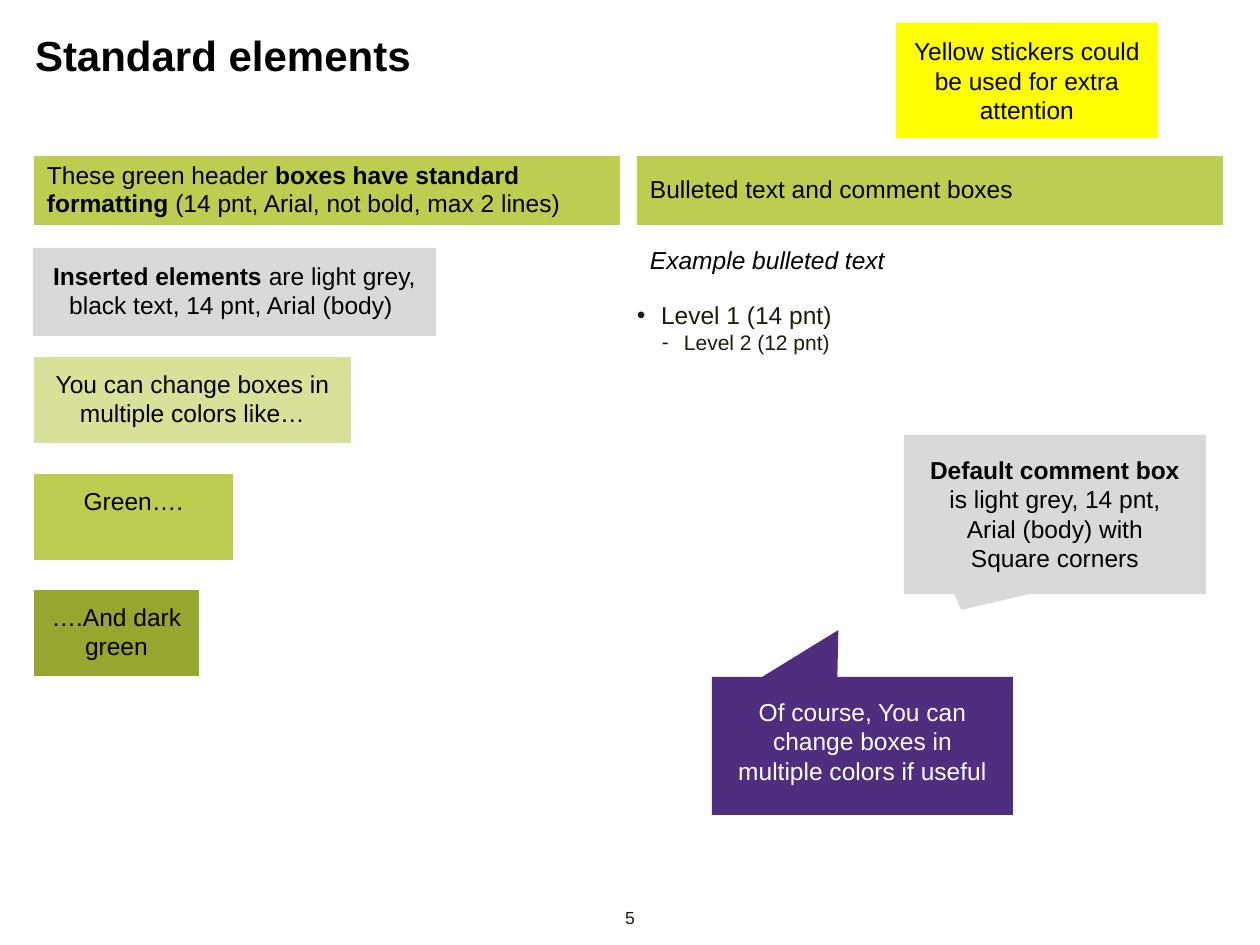
from dataclasses import dataclass

from lxml.etree import SubElement
from pptx import Presentation
from pptx.dml.color import RGBColor
from pptx.enum.shapes import MSO_SHAPE
from pptx.enum.text import MSO_ANCHOR, MSO_AUTO_SIZE, PP_ALIGN
from pptx.oxml.ns import qn
from pptx.util import Emu, Pt

PIXEL = 914400 / 126


@dataclass(frozen=True)
class Theme:
    font: str = "Arial"
    black: str = "000000"
    white: str = "FFFFFF"
    ink: str = "1B1D08"
    yellow: str = "FFFF00"
    grey: str = "D9D9D9"
    pale_green: str = "D8E197"
    green: str = "BECD4F"
    dark_green: str = "98A62F"
    purple: str = "4F2D7F"
    title_size: int = 24
    text_size: int = 14
    small_size: int = 12
    number_size: int = 10


THEME = Theme()


@dataclass(frozen=True)
class Area:
    left: int
    top: int
    width: int
    height: int


@dataclass(frozen=True)
class Span:
    text: str
    bold: bool = False
    italic: bool = False


@dataclass(frozen=True)
class Box:
    area: Area
    fill: str
    spans: tuple[Span, ...]
    inset: int = 13
    color: str = THEME.black
    outlined: bool = False
    anchor: MSO_ANCHOR = MSO_ANCHOR.TOP
    pointer: tuple[float, float] | None = None


@dataclass(frozen=True)
class Bullet:
    text: str
    mark: str
    size: int
    margin: int
    hanging: int


def px(length: float) -> Emu:
    return Emu(round(length * PIXEL))


def place(shape, area: Area) -> None:
    shape.left, shape.top = px(area.left), px(area.top)
    shape.width, shape.height = px(area.width), px(area.height)


def set_frame(frame, across: int, down: int, anchor=MSO_ANCHOR.TOP, wrap: bool = True) -> None:
    frame.auto_size = MSO_AUTO_SIZE.NONE
    frame.word_wrap = wrap
    frame.vertical_anchor = anchor
    frame.margin_left = frame.margin_right = px(across)
    frame.margin_top = frame.margin_bottom = px(down)


def write(para, spans: tuple[Span, ...], size: int = THEME.text_size,
          color: str = THEME.black, align=PP_ALIGN.LEFT) -> None:
    para.alignment = align
    para.space_before = Pt(0)
    for span in spans:
        run = para.add_run()
        run.text = span.text
        run.font.name = THEME.font
        run.font.size = Pt(size)
        run.font.bold = span.bold
        run.font.italic = span.italic
        run.font.color.rgb = RGBColor.from_string(color)


def draw_box(page, box: Box) -> None:
    kind = MSO_SHAPE.RECTANGULAR_CALLOUT if box.pointer else MSO_SHAPE.RECTANGLE
    shape = page.shapes.add_shape(kind, 0, 0, 0, 0)
    place(shape, box.area)
    if box.pointer:
        shape.adjustments[0], shape.adjustments[1] = box.pointer
    shape.shadow.inherit = False
    shape.fill.solid()
    shape.fill.fore_color.rgb = RGBColor.from_string(box.fill)
    if box.outlined:
        shape.line.color.rgb = RGBColor.from_string(THEME.white)
        shape.line.width = Pt(0.75)
    else:
        shape.line.fill.background()
    set_frame(shape.text_frame, box.inset, box.inset, box.anchor)
    write(shape.text_frame.paragraphs[0], box.spans, color=box.color, align=PP_ALIGN.CENTER)


def draw_header(holder, area: Area, spans: tuple[Span, ...]) -> None:
    place(holder, area)
    holder.fill.solid()
    holder.fill.fore_color.rgb = RGBColor.from_string(THEME.green)
    set_frame(holder.text_frame, 13, 3, MSO_ANCHOR.MIDDLE)
    para = holder.text_frame.paragraphs[0]
    para.line_spacing = 0.95
    write(para, spans)


def draw_bullets(holder, area: Area, bullets: tuple[Bullet, ...]) -> None:
    place(holder, area)
    frame = holder.text_frame
    set_frame(frame, 0, 0)
    for level, bullet in enumerate(bullets):
        para = frame.add_paragraph() if level else frame.paragraphs[0]
        para.level = level
        write(para, (Span(bullet.text),), bullet.size, THEME.ink)
        properties = para._p.get_or_add_pPr()
        properties.set("marL", str(px(bullet.margin)))
        properties.set("indent", str(-px(bullet.hanging)))
        SubElement(properties, qn("a:buFont"), typeface=THEME.font)
        SubElement(properties, qn("a:buChar"), char=bullet.mark)


def draw_label(page, area: Area, span: Span, size: int, color: str, align,
               across: int = 0, down: int = 0, wrap: bool = True) -> None:
    label = page.shapes.add_textbox(0, 0, 0, 0)
    place(label, area)
    set_frame(label.text_frame, across, down, wrap=wrap)
    write(label.text_frame.paragraphs[0], (span,), size, color, align)


HEADERS = {
    1: (Area(34, 156, 586, 69), (
        Span("These green header "),
        Span("boxes have standard formatting", bold=True),
        Span(" (14 pnt, Arial, not bold, max 2 lines)"))),
    3: (Area(637, 156, 586, 69), (Span("Bulleted text and comment boxes"),)),
}
BULLETS = (
    Bullet("Level 1 (14 pnt)", "•", THEME.text_size, 24, 24),
    Bullet("Level 2 (12 pnt)", "-", THEME.small_size, 47, 22),
)
BOXES = (
    Box(Area(896, 23, 262, 115), THEME.yellow,
        (Span("Yellow stickers could be used for extra attention"),),
        inset=10, anchor=MSO_ANCHOR.MIDDLE),
    Box(Area(33, 248, 403, 88), THEME.grey,
        (Span("Inserted elements ", bold=True),
         Span("are light grey, black text, 14 pnt, Arial (body) "))),
    Box(Area(33, 356, 319, 88), THEME.pale_green,
        (Span("You can change boxes in multiple colors like…"),), outlined=True),
    Box(Area(33, 473, 201, 88), THEME.green, (Span("Green…."),), outlined=True),
    Box(Area(33, 589, 167, 88), THEME.dark_green, (Span("….And dark green"),), outlined=True),
    Box(Area(712, 677, 301, 138), THEME.purple,
        (Span("Of course, You can change boxes in multiple colors if useful"),),
        inset=20, color=THEME.white, pointer=(-0.08, -0.84)),
    Box(Area(904, 435, 302, 159), THEME.grey,
        (Span("Default comment box ", bold=True),
         Span("is light grey, 14 pnt, Arial (body) with Square corners")),
        inset=20, pointer=(-0.31, 0.6)),
)


def main() -> None:
    deck = Presentation()
    deck.slide_width, deck.slide_height = px(1260), px(945)
    page = deck.slides.add_slide(deck.slide_layouts[4])
    holders = {holder.placeholder_format.idx: holder for holder in page.placeholders}

    title = page.shapes.title
    place(title, Area(35, 29, 1190, 50))
    set_frame(title.text_frame, 0, 0)
    write(title.text_frame.paragraphs[0], (Span("Standard elements", bold=True),), THEME.title_size)

    for index, (area, spans) in HEADERS.items():
        draw_header(holders[index], area, spans)
    draw_bullets(holders[4], Area(637, 300, 570, 55), BULLETS)
    unused = holders[2].element
    unused.getparent().remove(unused)

    for box in BOXES:
        draw_box(page, box)
    draw_label(page, Area(637, 239, 261, 43), Span("Example bulleted text", italic=True),
               THEME.text_size, THEME.black, PP_ALIGN.LEFT, 13, 6, wrap=False)
    draw_label(page, Area(611, 907, 38, 21), Span("5"),
               THEME.number_size, THEME.ink, PP_ALIGN.CENTER)
    deck.save("out.pptx")


main()
